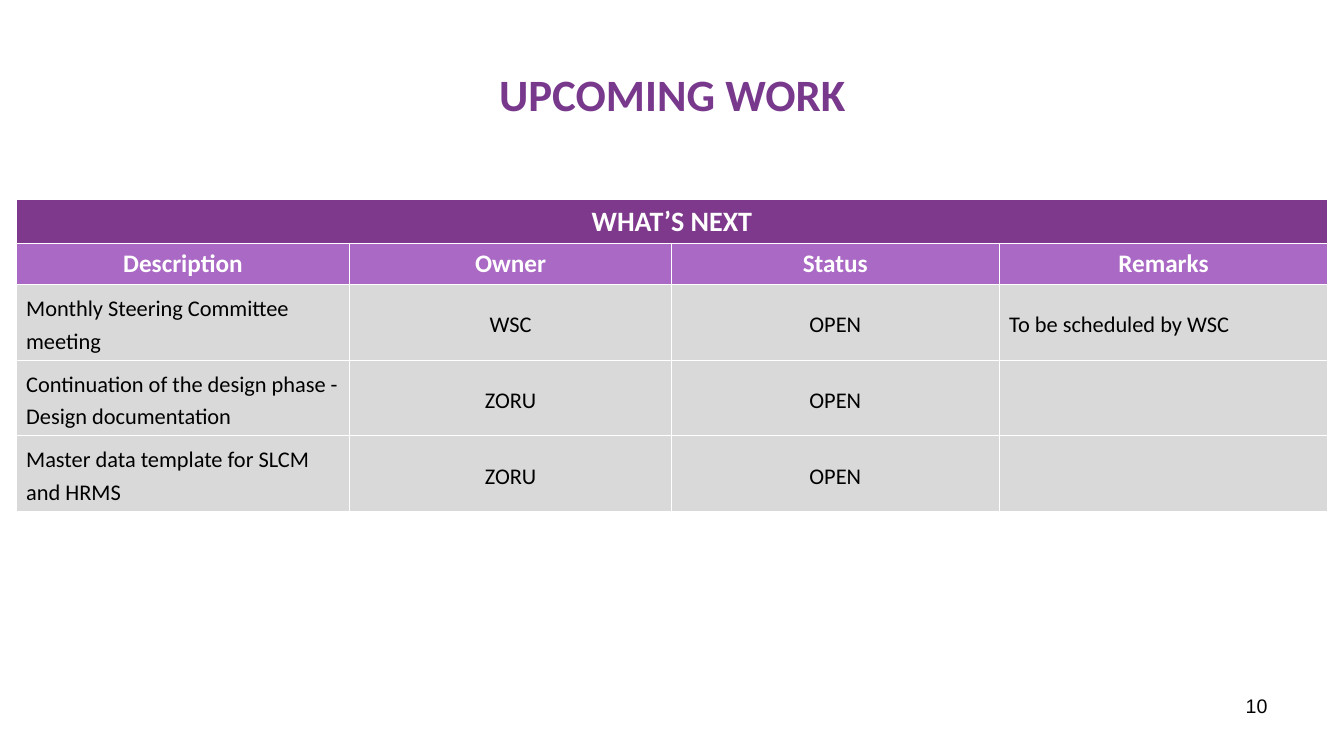
"""Builds the upcoming work slide with its table of next steps."""
from dataclasses import dataclass

from lxml.etree import SubElement
from pptx import Presentation
from pptx.dml.color import RGBColor as Color
from pptx.enum.text import MSO_ANCHOR as Anchor, PP_ALIGN as Align
from pptx.oxml.ns import qn
from pptx.util import Inches, Pt

TITLE = "UPCOMING WORK"
PAGE_NUMBER = "10"
BANNER = "WHAT’S NEXT"
HEADINGS = ["Description", "Owner", "Status", "Remarks"]
TASKS = [
    ("Monthly Steering Committee meeting", "WSC", "OPEN", "To be scheduled by WSC"),
    ("Continuation of the design phase - Design documentation", "ZORU", "OPEN", ""),
    ("Master data template for SLCM and HRMS", "ZORU", "OPEN", ""),
]
COLUMN_WIDTHS = [3.31, 3.19, 3.25, 3.26]
COLUMN_ALIGNS = [Align.LEFT, Align.CENTER, Align.CENTER, Align.LEFT]
ROW_HEIGHTS = [0.43, 0.41] + [0.75] * len(TASKS)


@dataclass(frozen=True)
class Theme:
    """Fonts, colours and type sizes."""
    font: str = "Calibri"
    number_font: str = "Arial"
    title: str = "78398D"
    banner: str = "7F398C"
    heading: str = "A969C4"
    body: str = "D9D9D9"
    light: str = "FFFFFF"
    dark: str = "000000"
    title_size: int = 32
    banner_size: int = 20
    heading_size: int = 18
    body_size: int = 16
    number_size: int = 14


THEME = Theme()


def write(frame, text, size, color, align, bold=False, font=THEME.font):
    """Put one formatted run in a text frame and return its paragraph."""
    para = frame.paragraphs[0]
    para.alignment = align
    span = para.add_run()
    span.text = text
    span.font.name = font
    span.font.size = Pt(size)
    span.font.bold = bold
    span.font.color.rgb = Color.from_string(color)
    return para


def add_text(page, place, text, anchor, *style, **options):
    """Add a wrapped text box."""
    box = page.shapes.add_textbox(*map(Inches, place))
    box.text_frame.word_wrap = True
    box.text_frame.vertical_anchor = anchor
    write(box.text_frame, text, *style, **options)


def paint(cell, color):
    """Give a cell its white borders and its fill."""
    properties = cell._tc.get_or_add_tcPr()
    for side in ("lnL", "lnR", "lnT", "lnB"):
        line = SubElement(properties, qn(f"a:{side}"), w=str(Pt(1)))
        fill = SubElement(line, qn("a:solidFill"))
        SubElement(fill, qn("a:srgbClr"), val=THEME.light)
    cell.fill.solid()
    cell.fill.fore_color.rgb = Color.from_string(color)


def add_table(page):
    """Add the table: a merged banner, headings and one row per task."""
    table = page.shapes.add_table(
        len(ROW_HEIGHTS), len(COLUMN_WIDTHS), Inches(0.16), Inches(1.98),
        Inches(sum(COLUMN_WIDTHS)), Inches(sum(ROW_HEIGHTS))).table
    for column, width in zip(table.columns, COLUMN_WIDTHS):
        column.width = Inches(width)
    for row, height in zip(table.rows, ROW_HEIGHTS):
        row.height = Inches(height)

    fills = [THEME.banner, THEME.heading] + [THEME.body] * len(TASKS)
    for row, fill in zip(table.rows, fills):
        for cell in row.cells:
            paint(cell, fill)

    banner = table.cell(0, 0)
    banner.merge(table.cell(0, len(HEADINGS) - 1))
    write(banner.text_frame, BANNER, THEME.banner_size, THEME.light, Align.CENTER, True)
    for column, heading in enumerate(HEADINGS):
        write(table.cell(1, column).text_frame, heading,
              THEME.heading_size, THEME.light, Align.CENTER, True)
    for row, task in enumerate(TASKS, start=2):
        for column, (text, align) in enumerate(zip(task, COLUMN_ALIGNS)):
            cell = table.cell(row, column)
            cell.vertical_anchor = Anchor.MIDDLE
            if text:
                para = write(cell.text_frame, text, THEME.body_size, THEME.dark, align)
                para.line_spacing = 1.2


def main():
    """Build and save the deck."""
    deck = Presentation()
    deck.slide_width, deck.slide_height = Inches(13.33), Inches(7.5)
    page = deck.slides.add_slide(deck.slide_layouts[6])
    add_text(page, (0.67, 0.3, 12, 1.25), TITLE, Anchor.MIDDLE,
             THEME.title_size, THEME.title, Align.CENTER, bold=True)
    add_text(page, (9.56, 6.83, 3.11, 0.52), PAGE_NUMBER, Anchor.TOP,
             THEME.number_size, THEME.dark, Align.RIGHT, font=THEME.number_font)
    add_table(page)
    deck.save("out.pptx")


if __name__ == "__main__":
    main()
